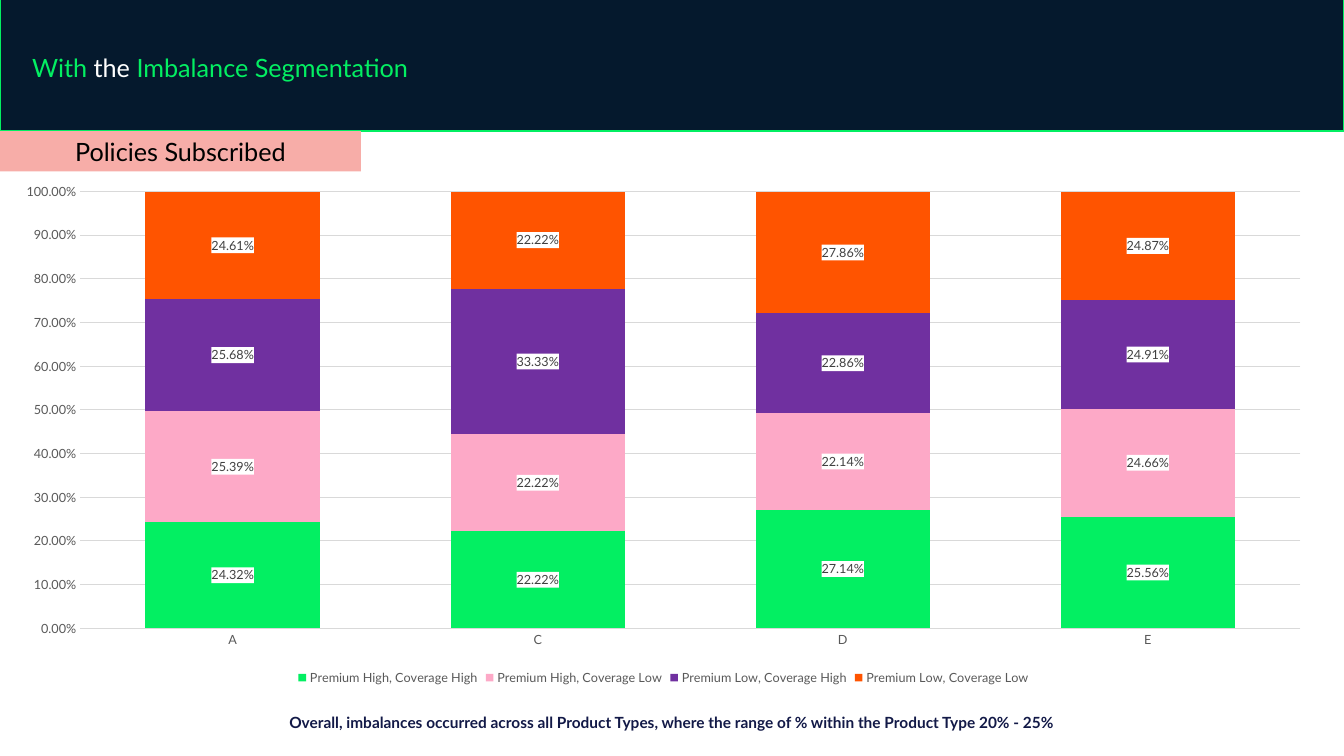
from dataclasses import dataclass

from lxml.etree import SubElement
from pptx import Presentation
from pptx.chart.data import CategoryChartData
from pptx.dml.color import RGBColor
from pptx.enum.chart import XL_CHART_TYPE, XL_LABEL_POSITION, XL_LEGEND_POSITION, XL_TICK_MARK
from pptx.enum.shapes import MSO_SHAPE
from pptx.enum.text import MSO_ANCHOR, PP_ALIGN
from pptx.oxml import parse_xml
from pptx.oxml.ns import nsdecls
from pptx.util import Emu, Pt

PX = 9144
FONT = "Lato"
COLORS = {
    "navy": "05192D", "green": "03EF62", "white": "FFFFFF", "black": "000000",
    "note": "121947", "salmon": "F7ADA8", "pink": "FDA9C7", "purple": "7030A0",
    "orange": "FF5400", "axis": "595959", "label": "404040", "grid": "D9D9D9",
}


@dataclass(frozen=True)
class Box:
    left: int
    top: int
    width: int
    height: int

    def emu(self) -> tuple[Emu, ...]:
        return tuple(Emu(v * PX) for v in (self.left, self.top, self.width, self.height))


@dataclass(frozen=True)
class Run:
    text: str
    color: str


@dataclass(frozen=True)
class Segment:
    name: str
    values: tuple[float, ...]
    color: str


PRODUCT_TYPES = ("A", "C", "D", "E")
SEGMENTS = (
    Segment("Premium High, Coverage High", (0.2432, 0.2222, 0.2714, 0.2556), "green"),
    Segment("Premium High, Coverage Low", (0.2539, 0.2222, 0.2214, 0.2466), "pink"),
    Segment("Premium Low, Coverage High", (0.2568, 0.3333, 0.2286, 0.2491), "purple"),
    Segment("Premium Low, Coverage Low", (0.2461, 0.2222, 0.2786, 0.2487), "orange"),
)
TITLE = (Run("With", "green"), Run(" the ", "white"), Run("Imbalance Segmentation", "green"))
NOTE = (Run("Overall, imbalances occurred across all Product Types, "
            "where the range of % within the Product Type 20% - 25%", "note"),)


def rgb(name: str) -> RGBColor:
    return RGBColor.from_string(COLORS[name])


def set_font(font, size: int, color: str) -> None:
    font.name = FONT
    font.size = Pt(size)
    font.color.rgb = rgb(color)


def add_rect(slide, box: Box, fill: str, line: str | None = None):
    sp = slide.shapes.add_shape(MSO_SHAPE.RECTANGLE, *box.emu())
    sp.shadow.inherit = False
    sp.fill.solid()
    sp.fill.fore_color.rgb = rgb(fill)
    if line:
        sp.line.color.rgb = rgb(line)
        sp.line.width = Pt(1.5)
    else:
        sp.line.fill.background()
    return sp


def write(sp, runs: tuple[Run, ...], size: int, align: PP_ALIGN,
          anchor: MSO_ANCHOR = MSO_ANCHOR.TOP, bold: bool = False) -> None:
    tf = sp.text_frame
    tf.word_wrap = True
    tf.vertical_anchor = anchor
    p = tf.paragraphs[0]
    p.alignment = align
    p.font.name = FONT
    p.font.size = Pt(size)
    p.font.bold = bold
    for run in runs:
        r = p.add_run()
        r.text = run.text
        r.font.color.rgb = rgb(run.color)


def style_axes(chart) -> None:
    cat, val = chart.category_axis, chart.value_axis
    for axis in (cat, val):
        axis.major_tick_mark = axis.minor_tick_mark = XL_TICK_MARK.NONE
        set_font(axis.tick_labels.font, 9, "axis")
    val.minimum_scale, val.maximum_scale, val.major_unit = 0, 1, 0.1
    val.tick_labels.number_format = "0.00%"
    val.tick_labels.number_format_is_linked = False
    val.format.line.fill.background()
    for line in (cat.format.line, val.major_gridlines.format.line):
        line.color.rgb = rgb("grid")
        line.width = Pt(0.75)


def style_series(series, segment: Segment) -> None:
    series.format.fill.solid()
    series.format.fill.fore_color.rgb = rgb(segment.color)
    labels = series.data_labels
    labels.show_value = True
    labels.number_format = "0.00%"
    labels.number_format_is_linked = False
    labels.position = XL_LABEL_POSITION.CENTER
    set_font(labels.font, 9, "label")
    sp_pr = parse_xml(f"<c:spPr {nsdecls('c', 'a')}><a:solidFill/></c:spPr>")
    fill = sp_pr[0]
    SubElement(fill, fill.tag.replace("solidFill", "srgbClr"), val=COLORS["white"])
    labels._element.find("{*}numFmt").addnext(sp_pr)


def add_segment_chart(slide, box: Box) -> None:
    data = CategoryChartData(number_format="0.00%")
    data.categories = PRODUCT_TYPES
    for segment in SEGMENTS:
        data.add_series(segment.name, segment.values)
    chart = slide.shapes.add_chart(XL_CHART_TYPE.COLUMN_STACKED, *box.emu(), data).chart
    set_font(chart.font, 10, "black")
    chart.has_title = False
    chart.has_legend = True
    chart.legend.position = XL_LEGEND_POSITION.BOTTOM
    chart.legend.include_in_layout = False
    set_font(chart.legend.font, 9, "axis")
    style_axes(chart)
    plot = chart.plots[0]
    plot.gap_width, plot.overlap = 75, 100
    plot.vary_by_categories = False
    for series, segment in zip(plot.series, SEGMENTS):
        style_series(series, segment)


def main() -> None:
    prs = Presentation()
    prs.slide_width, prs.slide_height = Emu(1333 * PX), Emu(750 * PX)
    s = prs.slides.add_slide(prs.slide_layouts[6])

    add_rect(s, Box(0, -2, 1333, 132), "navy", "green")
    title = s.shapes.add_textbox(*Box(22, 47, 1046, 40).emu())
    write(title, TITLE, 18, PP_ALIGN.LEFT)
    note = s.shapes.add_textbox(*Box(0, 684, 1333, 47).emu())
    write(note, NOTE, 11, PP_ALIGN.CENTER, MSO_ANCHOR.BOTTOM, bold=True)
    heading = add_rect(s, Box(0, 130, 358, 40), "salmon")
    write(heading, (Run("Policies Subscribed", "black"),), 18, PP_ALIGN.CENTER)
    add_segment_chart(s, Box(0, 172, 1316, 512))

    prs.save("out.pptx")


if __name__ == "__main__":
    main()
